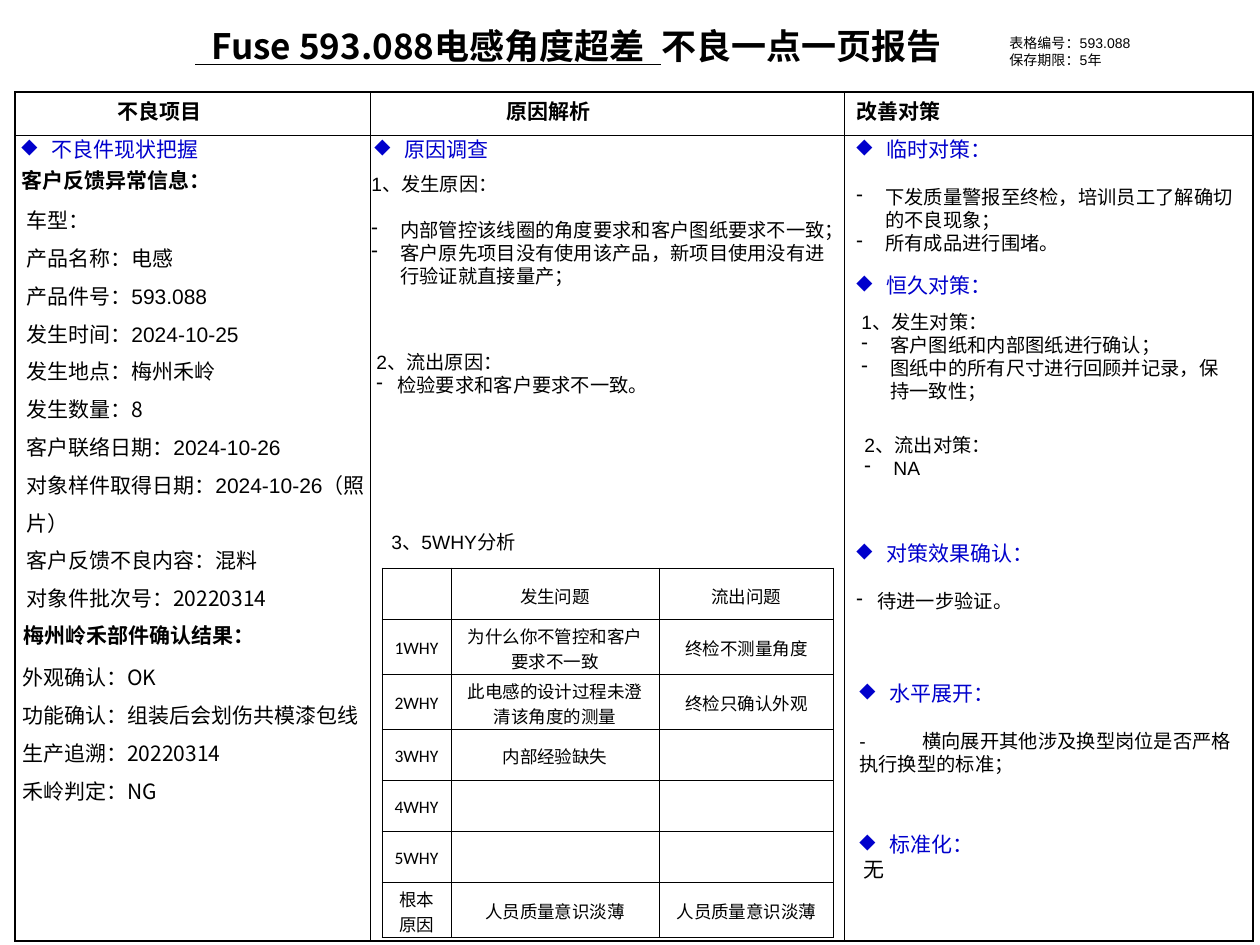
from lxml import etree
from pptx import Presentation
from pptx.dml.color import RGBColor
from pptx.enum.text import MSO_ANCHOR, PP_ALIGN
from pptx.oxml.ns import qn
from pptx.util import Emu, Pt

PX = 914400 // 126
BLACK = RGBColor(0, 0, 0)
BLUE = RGBColor(0x00, 0x00, 0xCC)
MIDDLE, CENTER, LEFT = MSO_ANCHOR.MIDDLE, PP_ALIGN.CENTER, PP_ALIGN.LEFT
ARIAL, CALIBRI, NOTO = "Arial", "Calibri", "Noto Sans CJK SC"
THIN, THICK = 0.45, 1.08
LINE_RATIO = 1.2

# Paragraph formats by role
ROLES = {
    "title": dict(size=20, font=NOTO, bold=True),
    "heading": dict(color=BLUE, bullet="◆", indent=30),
    "label": dict(font=NOTO, bold=True),
    "fact": dict(font=NOTO, spacing=1.5),
    "dated": dict(spacing=1.5),
    "body": dict(size=11),
    "dash": dict(size=11, bullet="-", indent=29),
    "short dash": dict(size=11, bullet="-", indent=21),
    "tabbed": dict(size=11, tab=21),
    "none": dict(left=4),
    "form": dict(size=8),
}

# (left, top, width, height), then (role, text[, gap above])
BOXES = [
    ((183, 18, 942, 55), [("title", [("  Fuse 593.088电感角度超差  ", True),
                                     ("不良一点一页报告", False)])]),
    ((997, 28, 260, 47), [("form", "表格编号：593.088"), ("form", "保存期限：5年")]),
    ((9, 130, 300, 38), [("heading", "不良件现状把握")]),
    ((9, 161, 370, 38), [("label", "客户反馈异常信息：")]),
    ((14, 189, 370, 428), [
        ("fact", "车型："),
        ("fact", "产品名称：电感"),
        ("dated", "产品件号：593.088"),
        ("dated", "发生时间：2024-10-25"),
        ("fact", "发生地点：梅州禾岭"),
        ("fact", "发生数量：8"),
        ("dated", "客户联络日期：2024-10-26"),
        ("dated", "对象样件取得日期：2024-10-26（照片）"),
        ("fact", "客户反馈不良内容：混料"),
        ("fact", "对象件批次号：20220314"),
    ]),
    ((11, 616, 370, 38), [("label", "梅州岭禾部件确认结果：")]),
    ((10, 646, 364, 202), [
        ("fact", "外观确认：OK"),
        ("fact", "功能确认：组装后会划伤共模漆包线"),
        ("fact", "生产追溯：20220314"),
        ("fact", "禾岭判定：NG"),
    ]),
    ((362, 130, 300, 38), [("heading", "原因调查")]),
    ((359, 166, 480, 151), [
        ("body", "1、发生原因："),
        ("dash", "内部管控该线圈的角度要求和客户图纸要求不一致；", 23),
        ("dash", "客户原先项目没有使用该产品，新项目使用没有进行验证就直接量产；"),
    ]),
    ((364, 344, 452, 59), [("body", "2、流出原因："),
                           ("short dash", "检验要求和客户要求不一致。")]),
    ((379, 524, 300, 36), [("body", "3、5WHY分析")]),
    ((844, 130, 416, 132), [
        ("heading", "临时对策："),
        ("dash", "下发质量警报至终检，培训员工了解确切的不良现象；", 24),
        ("dash", "所有成品进行围堵。"),
    ]),
    ((844, 266, 408, 38), [("heading", "恒久对策：")]),
    ((849, 304, 397, 151), [
        ("body", "1、发生对策："),
        ("dash", "客户图纸和内部图纸进行确认；"),
        ("dash", "图纸中的所有尺寸进行回顾并记录，保持一致性；"),
    ]),
    ((852, 427, 399, 82), [("body", "2、流出对策："), ("dash", "NA")]),
    ((844, 534, 300, 87), [("heading", "对策效果确认："),
                           ("short dash", "待进一步验证。", 24)]),
    ((847, 674, 398, 110), [
        ("heading", "水平展开："),
        ("tabbed", "-\t横向展开其他涉及换型岗位是否严格执行换型的标准；", 24),
    ]),
    ((847, 825, 398, 63), [("heading", "标准化："), ("none", "无")]),
]

FRAME_AT, FRAME_COLS, FRAME_ROWS = (15, 92), (355, 474, 409), (43, 806)
FRAME_TITLES = [("不良项目", 90), ("原因解析", 124), ("改善对策", 0)]

WHY_AT, WHY_COLS = (382, 568), (69, 208, 175)
WHY_HEIGHTS = (51, 55, 55, 51, 51, 51, 55)
WHY_ROWS = [
    ("", "发生问题", "流出问题"),
    ("1WHY", "为什么你不管控和客户要求不一致", "终检不测量角度"),
    ("2WHY", "此电感的设计过程未澄清该角度的测量", "终检只确认外观"),
    ("3WHY", "内部经验缺失", ""),
    ("4WHY", "", ""),
    ("5WHY", "", ""),
    ("根本原因", "人员质量意识淡薄", "人员质量意识淡薄"),
]


def px(value):
    return Emu(value * PX)


def write(para, text, size=12, font=ARIAL, color=BLACK, bold=False, spacing=1,
          bullet=None, indent=0, left=0, tab=None, gap=0, align=LEFT):
    """Fill a paragraph; text is a string or (string, underlined) pairs.

    A spacing of None leaves the line height to the font.
    """
    para.alignment = align
    if spacing:
        para.line_spacing = Pt(round(size * LINE_RATIO * spacing, 1))
    if gap:
        para.space_before = px(gap)
    properties = para._p.get_or_add_pPr()
    properties.set("marL", str(px(left + indent)))
    properties.set("indent", str(px(-indent)))
    if bullet:
        etree.SubElement(properties, qn("a:buChar"), char=bullet)
    if tab:
        tabs = etree.SubElement(properties, qn("a:tabLst"))
        etree.SubElement(tabs, qn("a:tab"), pos=str(px(tab)), algn="l")
    for words, underlined in [(text, False)] if isinstance(text, str) else text:
        span = para.add_run()
        span.text = words
        span.font.size, span.font.name = Pt(size), font
        span.font.bold, span.font.underline = bold, underlined
        span.font.color.rgb = color
        etree.SubElement(span.font._element, qn("a:ea"), typeface=NOTO)


def add_text(page, place, paragraphs):
    frame = page.shapes.add_textbox(*map(px, place)).text_frame
    frame.word_wrap = True
    for index, (role, text, *gap) in enumerate(paragraphs):
        para = frame.add_paragraph() if index else frame.paragraphs[0]
        write(para, text, gap=sum(gap), **ROLES[role])


def add_grid(page, at, widths, heights, outer):
    """Add an unfilled table with thin inner lines and outer-width edges."""
    table = page.shapes.add_table(len(heights), len(widths), *map(
        px, (*at, sum(widths), sum(heights)))).table
    table.first_row = table.horz_banding = False
    for column, width in zip(table.columns, widths):
        column.width = px(width)
    for row, height in zip(table.rows, heights):
        row.height = px(height)
    last_row, last_col = len(heights) - 1, len(widths) - 1
    for r in range(len(heights)):
        for c in range(len(widths)):
            cell = table.cell(r, c)
            cell.vertical_anchor = MIDDLE
            edges = {"L": c == 0, "R": c == last_col, "T": r == 0, "B": r == last_row}
            for side, is_edge in edges.items():
                line = etree.SubElement(cell._tc.get_or_add_tcPr(), qn(f"a:ln{side}"),
                                        w=str(Pt(outer if is_edge else THIN)))
                fill = etree.SubElement(line, qn("a:solidFill"))
                etree.SubElement(fill, qn("a:srgbClr"), val=str(BLACK))
            cell.fill.background()
    return table


def main():
    deck = Presentation()
    deck.slide_width, deck.slide_height = px(1260), px(945)
    page = deck.slides.add_slide(deck.slide_layouts[6])

    frame = add_grid(page, FRAME_AT, FRAME_COLS, FRAME_ROWS, THICK)
    for column, (title, left) in enumerate(FRAME_TITLES):
        write(frame.cell(0, column).text_frame.paragraphs[0], title,
              left=left, **ROLES["label"])

    for place, paragraphs in BOXES:
        add_text(page, place, paragraphs)

    why = add_grid(page, WHY_AT, WHY_COLS, WHY_HEIGHTS, THIN)
    for r, texts in enumerate(WHY_ROWS):
        for c, text in enumerate(texts):
            cell = why.cell(r, c)
            cell.margin_top, cell.margin_bottom = px(4), 0
            if text:
                write(cell.text_frame.paragraphs[0], text, size=10, font=CALIBRI,
                      spacing=None, align=CENTER)
    deck.save("out.pptx")


if __name__ == "__main__":
    main()
